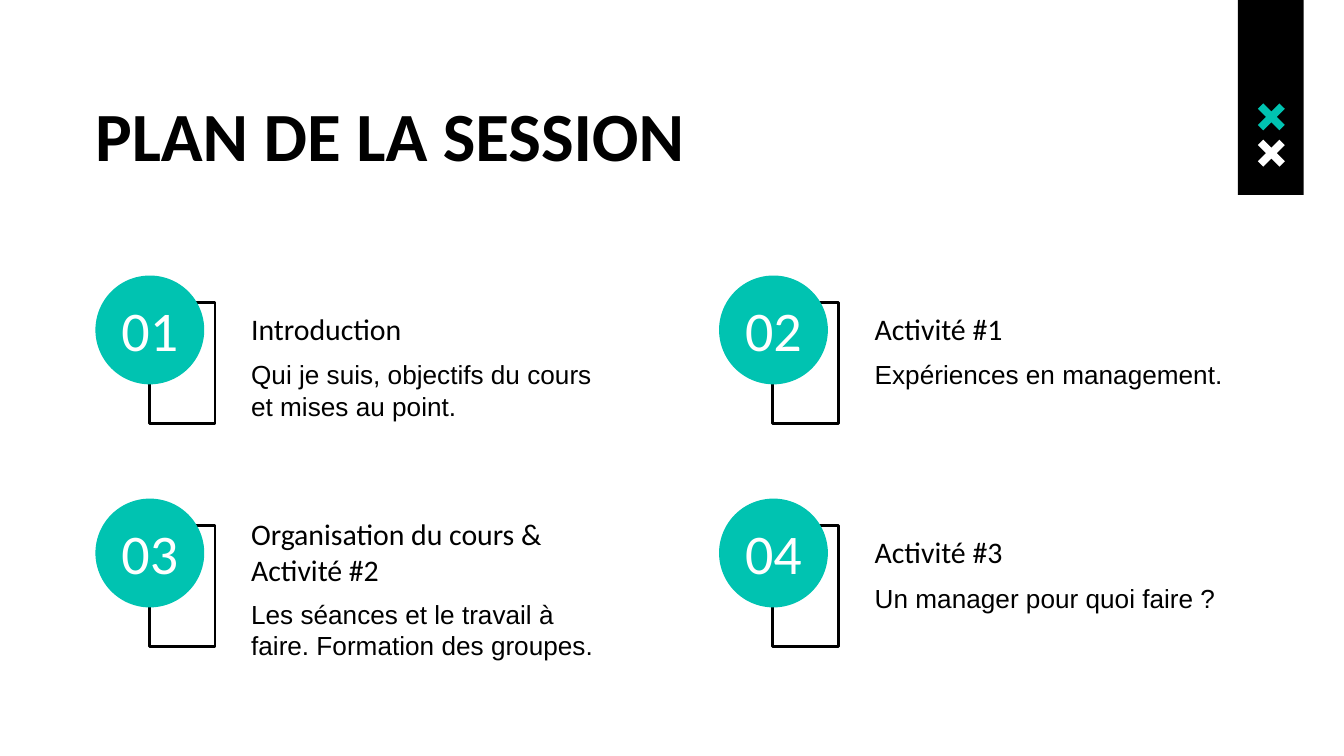
from pptx import Presentation
from pptx.dml.color import RGBColor
from pptx.enum.shapes import MSO_SHAPE
from pptx.enum.text import MSO_ANCHOR, PP_ALIGN
from pptx.util import Inches, Pt

BLACK = RGBColor(0x00, 0x00, 0x00)
WHITE = RGBColor(0xFF, 0xFF, 0xFF)
TEAL = RGBColor(0x00, 0xC3, 0xB1)

# Grid of agenda items, in inches
COLUMNS = (0.71, 5.35)
ROWS = (2.05, 3.71)
CIRCLE = 0.81
TEXT_OFFSET = 1.06
TEXT_WIDTH = 2.91
BODY_DROP = 0.12  # extra drop of the body under a two-line heading

# Outline of a cross in a 20 x 20 unit square, one unit being 0.01 inch
CROSS = ((4, 0), (0, 4), (6, 10), (0, 16), (4, 20), (10, 14),
         (16, 20), (20, 16), (14, 10), (20, 4), (16, 0), (10, 6))

# Heading, body, drop of the body
ITEMS = (
    ("Introduction", "Qui je suis, objectifs du cours et mises au point.", 0),
    ("Activité #1", "Expériences en management.", 0),
    ("Organisation du cours & Activité #2",
     "Les séances et le travail à faire. Formation des groupes.", BODY_DROP),
    ("Activité #3", "Un manager pour quoi faire ?", 0),
)


def paint(shape, fill=None, line=None):
    shape.shadow.inherit = False
    if fill is None:
        shape.fill.background()
    else:
        shape.fill.solid()
        shape.fill.fore_color.rgb = fill
    if line is None:
        shape.line.fill.background()
    else:
        shape.line.color.rgb = line
        shape.line.width = Pt(1.5)


def add_figure(slide, kind, left, top, width, height, fill=None, line=None):
    shape = slide.shapes.add_shape(
        kind, Inches(left), Inches(top), Inches(width), Inches(height))
    paint(shape, fill, line)


def add_cross(slide, left, top, color):
    builder = slide.shapes.build_freeform(*CROSS[0], scale=Inches(0.01))
    builder.add_line_segments(CROSS[1:], close=True)
    paint(builder.convert_to_shape(Inches(left), Inches(top)), color)


def add_text(slide, text, left, top, width, height, size, font="Calibri",
             color=BLACK, bold=False, anchor=MSO_ANCHOR.TOP,
             align=PP_ALIGN.LEFT):
    box = slide.shapes.add_textbox(
        Inches(left), Inches(top), Inches(width), Inches(height))
    frame = box.text_frame
    frame.word_wrap = True
    frame.vertical_anchor = anchor
    frame.margin_left = frame.margin_right = Inches(0.1)
    frame.margin_top = frame.margin_bottom = Inches(0.1)
    paragraph = frame.paragraphs[0]
    paragraph.text = text
    paragraph.alignment = align
    paragraph.font.name = font
    paragraph.font.size = Pt(size)
    paragraph.font.bold = bold
    paragraph.font.color.rgb = color


def add_banner(slide):
    add_figure(slide, MSO_SHAPE.RECTANGLE, 9.21, 0, 0.49, 1.45, BLACK)
    add_cross(slide, 9.36, 0.77, TEAL)
    add_cross(slide, 9.36, 1.04, WHITE)


def add_item(slide, number, left, top, heading, body, drop):
    """Add a numbered circle over its frame, with heading and body beside."""
    add_figure(slide, MSO_SHAPE.RECTANGLE, left + 0.4, top + 0.2, 0.49, 0.9,
               line=BLACK)
    add_figure(slide, MSO_SHAPE.OVAL, left, top, CIRCLE, CIRCLE, TEAL)
    add_text(slide, f"{number:02}", left, top + 0.1, CIRCLE, 0.6, 30,
             color=WHITE, anchor=MSO_ANCHOR.MIDDLE, align=PP_ALIGN.CENTER)
    text_left = left + TEXT_OFFSET
    add_text(slide, heading, text_left, top + 0.2, TEXT_WIDTH, 0.39, 16,
             anchor=MSO_ANCHOR.MIDDLE)
    add_text(slide, body, text_left, top + 0.52 + drop, TEXT_WIDTH, 0.7, 14,
             font="Arial")


def main():
    presentation = Presentation()
    presentation.slide_width = Inches(10)
    presentation.slide_height = presentation.slide_width * 9 // 16
    slide = presentation.slides.add_slide(presentation.slide_layouts[6])

    add_banner(slide)
    add_text(slide, "PLAN DE LA SESSION", 0.61, 0.59, 8.86, 0.79, 37, bold=True)
    for index, item in enumerate(ITEMS):
        row, column = divmod(index, len(COLUMNS))
        add_item(slide, index + 1, COLUMNS[column], ROWS[row], *item)

    presentation.save("out.pptx")


if __name__ == "__main__":
    main()
